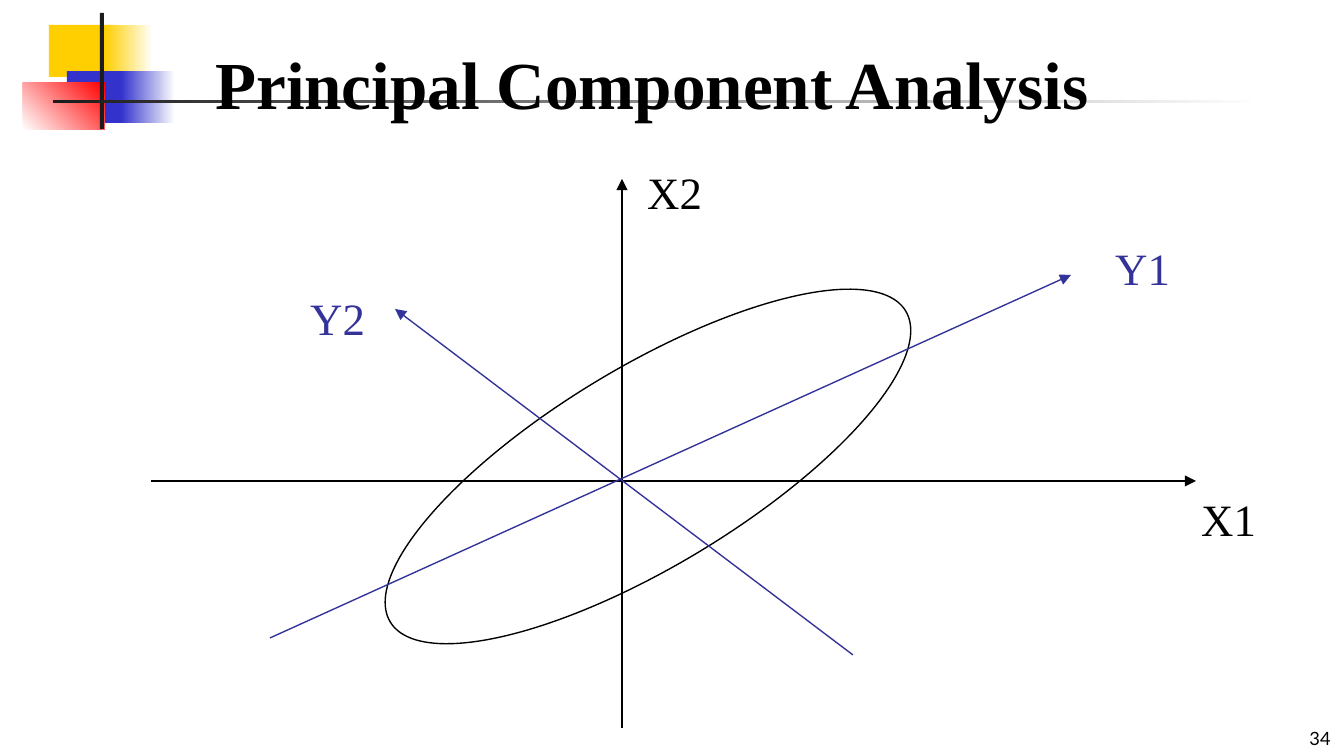
from dataclasses import dataclass

from lxml import etree
from pptx import Presentation
from pptx.dml.color import RGBColor
from pptx.enum.shapes import MSO_CONNECTOR, MSO_SHAPE
from pptx.enum.text import MSO_ANCHOR, MSO_AUTO_SIZE, PP_ALIGN
from pptx.oxml.ns import qn
from pptx.util import Emu, Pt

RECTANGLE, OVAL = MSO_SHAPE.RECTANGLE, MSO_SHAPE.OVAL
STRAIGHT = MSO_CONNECTOR.STRAIGHT
TOP, BOTTOM = MSO_ANCHOR.TOP, MSO_ANCHOR.BOTTOM
LEFT, RIGHT = PP_ALIGN.LEFT, PP_ALIGN.RIGHT
FIT_TEXT, NO_FIT = MSO_AUTO_SIZE.SHAPE_TO_FIT_TEXT, MSO_AUTO_SIZE.NONE

PX_PER_INCH = 134.4
SLIDE_WIDTH, SLIDE_HEIGHT = 1344, 756
SERIF, SANS = "Times New Roman", "Lato"
BLACK, WHITE, CHARCOAL = "000000", "FFFFFF", "1C1C1C"
YELLOW, BLUE, RED, INDIGO = "FFCF01", "3333CC", "FF0000", "333399"
LINE_WIDTH = Pt(0.75)


@dataclass
class Block:
    left: int
    top: int
    width: int
    height: int
    colors: tuple[str, ...]  # one colour is solid, two make a gradient
    angle: int = 0


@dataclass
class Arrow:
    start: tuple[int, int]
    end: tuple[int, int]
    color: str


@dataclass
class Label:
    text: str
    left: int
    top: int
    width: int = 82
    height: int = 67
    color: str = BLACK
    size: float = 24
    font: str = SERIF
    bold: bool = False
    wrap: bool = False
    align: PP_ALIGN = LEFT
    anchor: MSO_ANCHOR = TOP
    autosize: MSO_AUTO_SIZE = FIT_TEXT
    line_spacing: float = 1.0


# Corner ornament, back to front
BLOCKS = [
    Block(49, 25, 64, 52, (YELLOW,)),
    Block(105, 25, 48, 52, (YELLOW, WHITE)),
    Block(67, 71, 62, 52, (BLUE,)),
    Block(121, 71, 54, 52, (BLUE, WHITE)),
    Block(23, 83, 82, 47, (WHITE, RED), 45),
    Block(100, 13, 4, 116, (CHARCOAL,)),
    Block(53, 100, 1210, 3, (CHARCOAL, WHITE)),
]

ORIGINAL_AXES = [
    Arrow((151, 481), (1196, 481), BLACK),
    Arrow((622, 728), (622, 179), BLACK),
]
PRINCIPAL_AXES = [
    Arrow((270, 638), (1071, 275), INDIGO),
    Arrow((853, 655), (395, 309), INDIGO),
]

LABELS = [
    Label("34", 1064, 714, 280, 42, size=9.8, font=SANS, wrap=True, align=RIGHT,
          anchor=BOTTOM, autosize=NO_FIT, line_spacing=0.8),
    Label("X1", 1188, 485),
    Label("X2", 634, 158),
    Label("Y1", 1102, 234, color=INDIGO),
    Label("Y2", 297, 284, color=INDIGO),
    Label("Principal Component Analysis", 202, 36, 985, 94, size=36, bold=True, wrap=True),
]


def px(length: int) -> Emu:
    return Emu(round(length * 914400 / PX_PER_INCH))


def rgb(color: str) -> RGBColor:
    return RGBColor.from_string(color)


def draw_block(slide, block: Block) -> None:
    shape = slide.shapes.add_shape(
        RECTANGLE, px(block.left), px(block.top), px(block.width), px(block.height))
    shape.shadow.inherit = False
    shape.line.fill.background()
    if len(block.colors) == 1:
        shape.fill.solid()
        shape.fill.fore_color.rgb = rgb(block.colors[0])
        return
    shape.fill.gradient()
    shape.fill.gradient_angle = block.angle
    for stop, color in zip(shape.fill.gradient_stops, block.colors):
        stop.color.rgb = rgb(color)


def draw_arrow(slide, arrow: Arrow) -> None:
    connector = slide.shapes.add_connector(
        STRAIGHT, *(px(value) for value in arrow.start + arrow.end))
    connector.line.color.rgb = rgb(arrow.color)
    connector.line.width = LINE_WIDTH
    outline = connector.line._get_or_add_ln()
    etree.SubElement(outline, qn("a:tailEnd"), type="triangle")
    etree.SubElement(connector._element.spPr, qn("a:effectLst"))


def draw_data_ellipse(slide) -> None:
    shape = slide.shapes.add_shape(OVAL, px(347), px(367), px(602), px(199))
    shape.rotation = 328.9
    shape.shadow.inherit = False
    shape.fill.background()
    shape.line.color.rgb = rgb(BLACK)
    shape.line.width = LINE_WIDTH


def draw_label(slide, label: Label) -> None:
    box = slide.shapes.add_textbox(
        px(label.left), px(label.top), px(label.width), px(label.height))
    frame = box.text_frame
    frame.word_wrap = label.wrap
    frame.auto_size = label.autosize
    frame.vertical_anchor = label.anchor
    paragraph = frame.paragraphs[0]
    paragraph.alignment = label.align
    paragraph.line_spacing = label.line_spacing
    run = paragraph.add_run()
    run.text = label.text
    run.font.name = label.font
    run.font.size = Pt(label.size)
    run.font.bold = label.bold
    run.font.color.rgb = rgb(label.color)


def main() -> None:
    presentation = Presentation()
    presentation.slide_width = px(SLIDE_WIDTH)
    presentation.slide_height = px(SLIDE_HEIGHT)
    slide = presentation.slides.add_slide(presentation.slide_layouts[6])

    # Ornament
    for block in BLOCKS:
        draw_block(slide, block)

    # Diagram
    for arrow in ORIGINAL_AXES:
        draw_arrow(slide, arrow)
    draw_data_ellipse(slide)
    for arrow in PRINCIPAL_AXES:
        draw_arrow(slide, arrow)

    # Title, axis names and slide number
    for label in LABELS:
        draw_label(slide, label)

    presentation.save("out.pptx")


if __name__ == "__main__":
    main()
